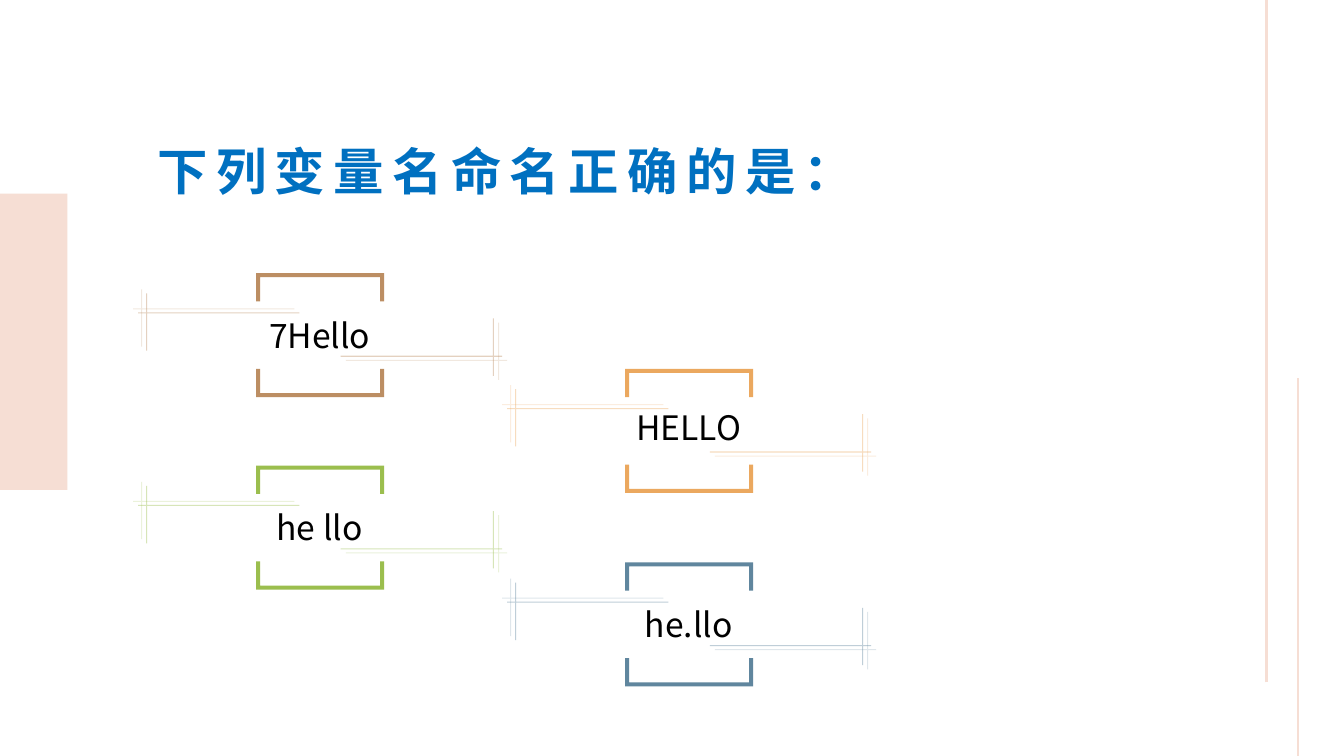
from dataclasses import dataclass

import pptx
import pptx.util
from lxml import etree
from pptx.dml.color import RGBColor
from pptx.enum.shapes import MSO_CONNECTOR, MSO_SHAPE
from pptx.enum.text import MSO_ANCHOR, MSO_AUTO_SIZE, PP_ALIGN
from pptx.oxml.ns import qn
from pptx.util import Inches

FONT = "Noto Sans CJK SC"
PINK = RGBColor(0xF6, 0xDE, 0xD4)
BLUE = RGBColor(0x00, 0x70, 0xC0)
BLACK = RGBColor(0x00, 0x00, 0x00)
BROWN = RGBColor(0xBC, 0x8E, 0x63)
GREEN = RGBColor(0x9B, 0xBE, 0x4E)
ORANGE = RGBColor(0xEB, 0xA8, 0x5F)
SLATE = RGBColor(0x60, 0x86, 0x9E)

Outline = list[tuple[float, float]]

# Bracket frame: outer size, bar thickness and arm length
FRAME_W, FRAME_H, BAR, ARM = 1.27, 1.23, 0.04, 0.28
# Crossed hairlines: outer size, crossing point and line thickness
CROSS_W, CROSS_H, CROSS_X, CROSS_Y, HAIR = 1.6, 0.57, 0.08, 0.19, 0.01


@dataclass
class Option:
    text: str
    left: float
    top: float
    color: RGBColor
    label_dy: float = 0.45


@dataclass
class Cross:
    dx: float
    dy: float
    opacity: int
    turned: bool


@dataclass
class SideLine:
    x: float
    top: float
    bottom: float
    width: float


OPTIONS = [
    Option("7Hello", 2.54, 2.71, BROWN),
    Option("he llo", 2.54, 4.62, GREEN),
    Option("HELLO", 6.2, 3.66, ORANGE, 0.42),
    Option("he.llo", 6.2, 5.58, SLATE),
]
CROSSES = [
    Cross(-1.17, 0.2, 40, False),
    Cross(-1.22, 0.16, 20, False),
    Cross(0.84, 0.45, 40, True),
    Cross(0.89, 0.49, 20, True),
]
SIDE_LINES = [SideLine(12.56, 0, 6.77, 2.25), SideLine(12.87, 3.75, 7.5, 1.5)]


def turn(points: Outline, width: float, height: float) -> Outline:
    """Turn an outline by 180 degrees inside its box."""
    return [(width - x, height - y) for x, y in points]


TOP_BRACKET: Outline = [
    (0, 0), (FRAME_W, 0), (FRAME_W, ARM), (FRAME_W - BAR, ARM),
    (FRAME_W - BAR, BAR), (BAR, BAR), (BAR, ARM), (0, ARM),
]
FRAME = [TOP_BRACKET, turn(TOP_BRACKET, FRAME_W, FRAME_H)]
X2, Y2 = CROSS_X + HAIR, CROSS_Y + HAIR
CROSS: Outline = [
    (CROSS_X, 0), (X2, 0), (X2, CROSS_Y), (CROSS_W, CROSS_Y), (CROSS_W, Y2), (X2, Y2),
    (X2, CROSS_H), (CROSS_X, CROSS_H), (CROSS_X, Y2), (0, Y2), (0, CROSS_Y), (CROSS_X, CROSS_Y),
]


def add_outline(s, contours: list[Outline], left: float, top: float,
                color: RGBColor, opacity: int = 100) -> None:
    paths = [[(Inches(left + x), Inches(top + y)) for x, y in c] for c in contours]
    builder = s.shapes.build_freeform(*paths[0][0])
    builder.add_line_segments(paths[0][1:])
    for path in paths[1:]:
        builder.move_to(*path[0])
        builder.add_line_segments(path[1:])
    sp = builder.convert_to_shape()
    sp.shadow.inherit = False
    sp.line.fill.background()
    sp.fill.solid()
    sp.fill.fore_color.rgb = color
    if opacity < 100:
        clr = sp._element.spPr.find(qn("a:solidFill"))[0]
        etree.SubElement(clr, qn("a:alpha")).set("val", str(opacity * 1000))


def style(p, size: int, color: RGBColor, bold: bool, align: PP_ALIGN, spacing: int = 0) -> None:
    p.alignment = align
    p.font.size = pptx.util.Pt(size)
    p.font.bold = bold
    p.font.name = FONT
    p.font.color.rgb = color
    props = p._p.pPr.find(qn("a:defRPr"))
    props.set("spc", str(spacing * 100))
    etree.SubElement(props, qn("a:ea")).set("typeface", FONT)


def add_title(s, text: str) -> None:
    sp = s.shapes.title
    sp.left, sp.top, sp.width, sp.height = map(Inches, (1.46, 1.34, 6.81, 0.71))
    tf = sp.text_frame
    tf.text = text
    tf.word_wrap = True
    tf.auto_size = MSO_AUTO_SIZE.SHAPE_TO_FIT_TEXT
    tf.vertical_anchor = MSO_ANCHOR.TOP
    style(tf.paragraphs[0], 36, BLUE, True, PP_ALIGN.LEFT, 6)


def add_side_line(s, line: SideLine) -> None:
    sp = s.shapes.add_connector(MSO_CONNECTOR.STRAIGHT, Inches(line.x), Inches(line.bottom),
                                Inches(line.x), Inches(line.top))
    sp.line.color.rgb = PINK
    sp.line.width = pptx.util.Pt(line.width)
    etree.SubElement(sp._element.spPr, qn("a:effectLst"))


def add_option(s, option: Option) -> None:
    add_outline(s, FRAME, option.left, option.top, option.color)
    for cross in CROSSES:
        points = turn(CROSS, CROSS_W, CROSS_H) if cross.turned else CROSS
        add_outline(s, [points], option.left + cross.dx, option.top + cross.dy,
                    option.color, cross.opacity)
    sp = s.shapes.add_textbox(Inches(option.left - 1.08), Inches(option.top + option.label_dy),
                              Inches(3.42), Inches(0.32))
    tf = sp.text_frame
    tf.word_wrap = True
    tf.vertical_anchor = MSO_ANCHOR.MIDDLE
    tf.text = option.text
    style(tf.paragraphs[0], 24, BLACK, False, PP_ALIGN.CENTER)


def main() -> None:
    prs = pptx.Presentation()
    prs.slide_width, prs.slide_height = Inches(13.33), Inches(7.5)
    s = prs.slides.add_slide(prs.slide_layouts[5])

    # Side decoration
    block = s.shapes.add_shape(MSO_SHAPE.RECTANGLE, 0, Inches(1.92), Inches(0.67), Inches(2.94))
    block.shadow.inherit = False
    block.fill.solid()
    block.fill.fore_color.rgb = PINK
    block.line.fill.background()
    for line in SIDE_LINES:
        add_side_line(s, line)

    # Question and answer options
    add_title(s, "下列变量名命名正确的是：")
    for option in OPTIONS:
        add_option(s, option)

    prs.save("out.pptx")


if __name__ == "__main__":
    main()
